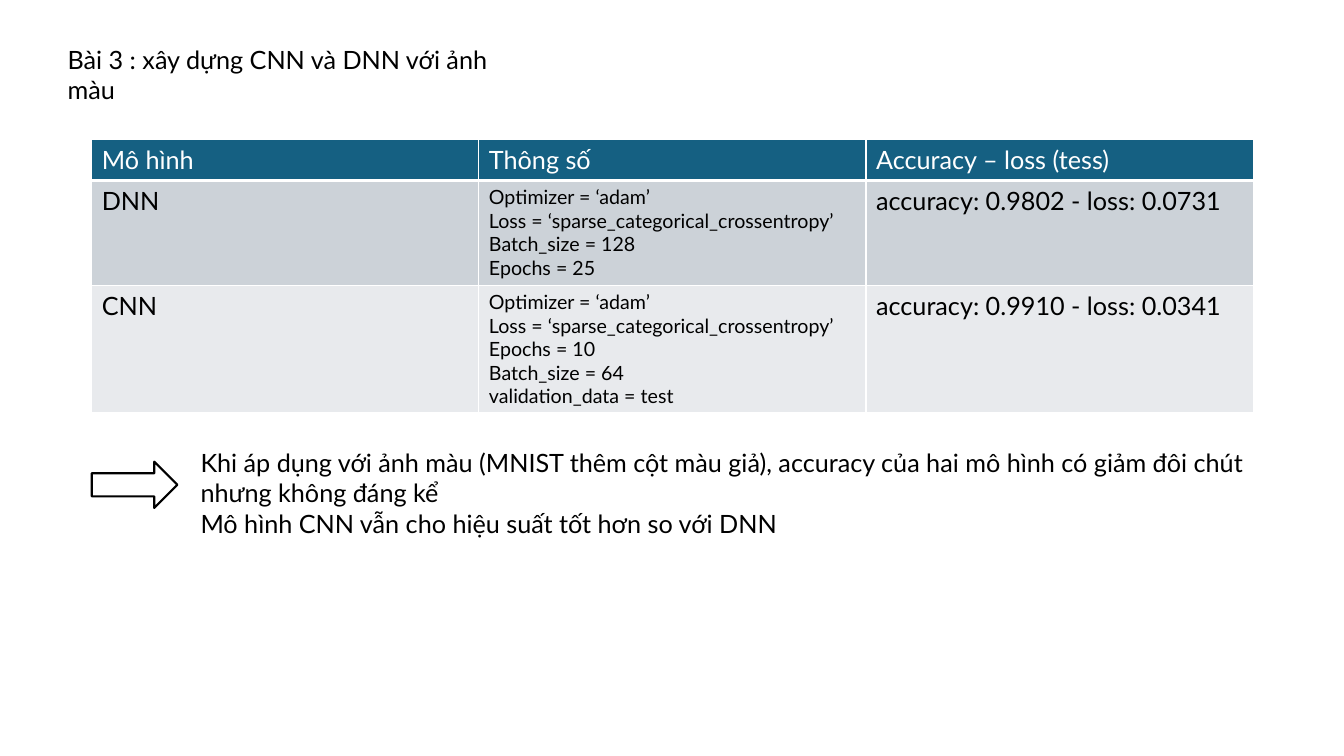
from lxml import etree
from pptx import Presentation
from pptx import util as u
from pptx.dml.color import RGBColor
from pptx.enum import shapes, text
from pptx.oxml.ns import qn

EMU_PER_PX = 9144
BLACK, WHITE, HEADER = "000000", "FFFFFF", "156082"
ROW_FILLS = [HEADER, "CCD2D8", "E8EAED"]
ROW_HEIGHTS = [41, 104, 126]
MODELS = [
    ["Mô hình", "Thông số", "Accuracy – loss (tess)"],
    ["DNN",
     "Optimizer = ‘adam’\nLoss = ‘sparse_categorical_crossentropy’\n"
     "Batch_size = 128\nEpochs = 25",
     "accuracy: 0.9802 - loss: 0.0731"],
    ["CNN",
     "Optimizer = ‘adam’\nLoss = ‘sparse_categorical_crossentropy’\n"
     "Epochs = 10\nBatch_size = 64\nvalidation_data = test",
     "accuracy: 0.9910 - loss: 0.0341"],
]
CONCLUSION = (
    "Khi áp dụng với ảnh màu (MNIST thêm cột màu giả), accuracy của hai mô hình "
    "có giảm đôi chút nhưng không đáng kể\n"
    "Mô hình CNN vẫn cho hiệu suất tốt hơn so với DNN"
)


def px(length):
    return u.Emu(length * EMU_PER_PX)


def color(value):
    return RGBColor.from_string(value)


def assign(target, values):
    for name, value in values.items():
        setattr(target, name, value)


class SlideBuilder:
    font = "Lato"
    frame_format = {
        "word_wrap": True,
        "vertical_anchor": text.MSO_ANCHOR.TOP,
        "auto_size": text.MSO_AUTO_SIZE.SHAPE_TO_FIT_TEXT,
    }

    def __init__(self, presentation):
        self.slide = presentation.slides.add_slide(presentation.slide_layouts[5])

    def fill_text(self, frame, content, size=18, fill=BLACK):
        frame.text = content
        for paragraph in frame.paragraphs:
            paragraph.alignment = text.PP_ALIGN.LEFT
            for run in paragraph.runs:
                assign(run.font, {"name": self.font, "size": u.Pt(size)})
                run.font.color.rgb = color(fill)

    def title(self, content, left, top, width, height):
        shape = self.slide.shapes.title
        assign(shape, {"left": px(left), "top": px(top),
                       "width": px(width), "height": px(height)})
        assign(shape.text_frame, self.frame_format)
        self.fill_text(shape.text_frame, content)

    def text_box(self, content, *box):
        shape = self.slide.shapes.add_textbox(*map(px, box))
        assign(shape.text_frame, self.frame_format)
        self.fill_text(shape.text_frame, content)

    def arrow(self, *box):
        shape = self.slide.shapes.add_shape(
            shapes.MSO_SHAPE.RIGHT_ARROW, *map(px, box))
        shape.shadow.inherit = False
        shape.fill.solid()
        shape.fill.fore_color.rgb = color(WHITE)
        shape.line.color.rgb = color(BLACK)
        shape.line.width = u.Pt(1.5)

    def border(self, cell, side, points):
        properties = cell._tc.get_or_add_tcPr()
        line = etree.SubElement(properties, qn(f"a:ln{side}"), w=str(u.Pt(points)))
        fill = etree.SubElement(line, qn("a:solidFill"))
        etree.SubElement(fill, qn("a:srgbClr"), val=WHITE)

    def table(self, rows, left, top, width):
        columns = len(rows[0])
        table = self.slide.shapes.add_table(
            len(rows), columns,
            *map(px, (left, top, width, sum(ROW_HEIGHTS)))).table
        for row, height in zip(table.rows, ROW_HEIGHTS):
            row.height = px(height)
        for row_index, values in enumerate(rows):
            is_header = row_index == 0
            for column_index, value in enumerate(values):
                cell = table.cell(row_index, column_index)
                for side in "LRTB":
                    self.border(cell, side, 3 if is_header and side == "B" else 1)
                cell.fill.solid()
                cell.fill.fore_color.rgb = color(ROW_FILLS[row_index])
                self.fill_text(cell.text_frame, value,
                               size=14 if "\n" in value else 18,
                               fill=WHITE if is_header else BLACK)


def main():
    presentation = Presentation()
    assign(presentation, {"slide_width": px(1333), "slide_height": px(750)})
    builder = SlideBuilder(presentation)
    builder.title("Bài 3 : xây dựng CNN và DNN với ảnh màu", 57, 39, 471, 40)
    builder.table(MODELS, 91, 138, 1152)
    builder.text_box(CONCLUSION, 189, 439, 1085, 101)
    builder.arrow(91, 458, 85, 46)
    presentation.save("out.pptx")


if __name__ == "__main__":
    main()
